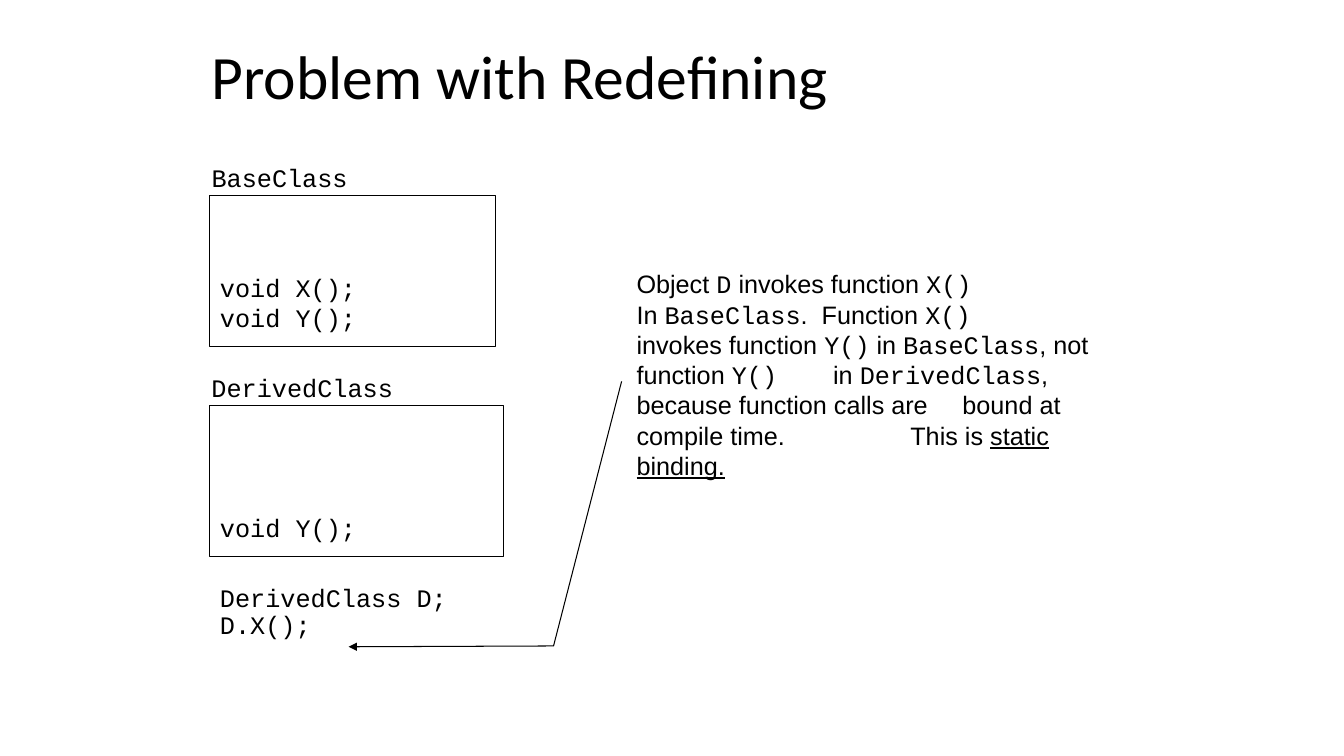
from dataclasses import dataclass

from lxml import etree
from pptx import Presentation
from pptx import util as u
from pptx.dml.color import RGBColor
from pptx.enum import shapes, text
from pptx.oxml import ns


@dataclass(frozen=True)
class Theme:
    ink: RGBColor = RGBColor(0, 0, 0)
    title_font: str = "Calibri"
    prose_font: str = "Arial"
    code_font: str = "Courier New"
    title_size: int = 44
    text_size: int = 18
    line_width: float = 0.75


THEME = Theme()
SLIDE_WIDTH, SLIDE_HEIGHT = u.Inches(13.333), u.Inches(7.5)
COLUMNS, ROWS = 160, 90
CLASS_COLUMN = 25
LABEL_COLUMN = 24
CLASS_ROWS = 18
LABEL_RISE = 4.6
CHAR_COLUMNS = 1.8
INSET_COLUMNS = 2.4
LINE_ROWS = 3.65
INSET_ROWS = 1.2


def x(column):
    return round(SLIDE_WIDTH * column / COLUMNS)


def y(row):
    return round(SLIDE_HEIGHT * row / ROWS)


def area(column, row, columns, rows):
    return x(column), y(row), x(columns), y(rows)


def add_run(paragraph, words, font, size=THEME.text_size, underline=None):
    run = paragraph.add_run()
    run.text = words
    run.font.name = font
    run.font.size = u.Pt(size)
    run.font.color.rgb = THEME.ink
    run.font.underline = underline


def paragraphs(frame, count):
    yield frame.paragraphs[0]
    for _ in range(count - 1):
        yield frame.add_paragraph()


def outline(shape):
    shape.shadow.inherit = False
    shape.fill.background()
    shape.line.color.rgb = THEME.ink
    shape.line.width = u.Pt(THEME.line_width)


def add_title(slide, words):
    title = slide.shapes.title
    title.left, title.top, title.width, title.height = area(24, 2, 102, 15)
    frame = title.text_frame
    frame.auto_size = text.MSO_AUTO_SIZE.NONE
    frame.vertical_anchor = text.MSO_ANCHOR.MIDDLE
    heading = frame.paragraphs[0]
    heading.alignment = text.PP_ALIGN.LEFT
    heading.line_spacing = 0.9
    add_run(heading, words, THEME.title_font, THEME.title_size)


def add_code(slide, column, row, lines, spacing=1.0):
    columns = CHAR_COLUMNS * max(map(len, lines)) + INSET_COLUMNS
    rows = LINE_ROWS * spacing * len(lines) + INSET_ROWS
    code = slide.shapes.add_textbox(*area(column, row, columns, rows))
    frame = code.text_frame
    frame.word_wrap = False
    frame.auto_size = text.MSO_AUTO_SIZE.SHAPE_TO_FIT_TEXT
    for paragraph, line in zip(paragraphs(frame, len(lines)), lines):
        paragraph.line_spacing = spacing
        add_run(paragraph, line, THEME.code_font)


def add_class(slide, name, row, columns, members):
    body = slide.shapes.add_shape(
        shapes.MSO_SHAPE.RECTANGLE,
        *area(CLASS_COLUMN, row, columns, CLASS_ROWS))
    outline(body)
    add_code(slide, LABEL_COLUMN, row - LABEL_RISE, [name])
    members_row = row + CLASS_ROWS - 1 - INSET_ROWS - LINE_ROWS * len(members)
    add_code(slide, CLASS_COLUMN, members_row, members)


def set_tabs(paragraph, stops):
    properties = paragraph._p.get_or_add_pPr()
    tabs = etree.SubElement(properties, ns.qn("a:tabLst"))
    for stop in stops:
        etree.SubElement(tabs, ns.qn("a:tab"), pos=str(x(stop)), algn="l")


def add_explanation(slide):
    prose, code = THEME.prose_font, THEME.code_font
    sentences = [
        ([], [("Object ", prose), ("D", code),
              (" invokes function ", prose), ("X()", code)]),
        ([], [("In ", prose), ("BaseClass", code),
              (".  Function ", prose), ("X()", code)]),
        ([23.4], [("invokes function ", prose), ("Y()", code), (" in ", prose),
                  ("BaseClass", code), (", not function ", prose),
                  ("Y()", code), ("\tin ", prose), ("DerivedClass", code),
                  (",", prose)]),
        ([32.6, 38.8], [("because function calls are\tbound at compile time."
                         "\tThis is ", prose),
                        ("static binding.", prose, THEME.text_size, True)]),
    ]
    explanation = slide.shapes.add_textbox(*area(74.6, 31.4, 57.4, 26.6))
    frame = explanation.text_frame
    frame.word_wrap = True
    frame.auto_size = text.MSO_AUTO_SIZE.SHAPE_TO_FIT_TEXT
    for paragraph, (stops, runs) in zip(
            paragraphs(frame, len(sentences)), sentences):
        if stops:
            set_tabs(paragraph, stops)
        for run in runs:
            add_run(paragraph, *run)


def add_bent_arrow(slide, points):
    start, *bends = [(x(column), y(row)) for column, row in points]
    builder = slide.shapes.build_freeform(*start)
    builder.add_line_segments(bends, close=False)
    arrow = builder.convert_to_shape()
    outline(arrow)
    etree.SubElement(
        arrow.line._get_or_add_ln(), ns.qn("a:tailEnd"), type="triangle")


def main():
    deck = Presentation()
    deck.slide_width, deck.slide_height = SLIDE_WIDTH, SLIDE_HEIGHT
    slide = deck.slides.add_slide(deck.slide_layouts.get_by_name("Title Only"))
    add_title(slide, "Problem with Redefining")
    add_class(slide, "BaseClass", 23.3, 34, ["void X();", "void Y();"])
    add_class(slide, "DerivedClass", 48.3, 35, ["void Y();"])
    add_code(slide, CLASS_COLUMN, 69.1, ["DerivedClass D;", "D.X();"], 0.9)
    add_explanation(slide)
    add_bent_arrow(slide, [(74, 45.4), (65.9, 76.9), (41.5, 77)])
    deck.save("out.pptx")


if __name__ == "__main__":
    main()
